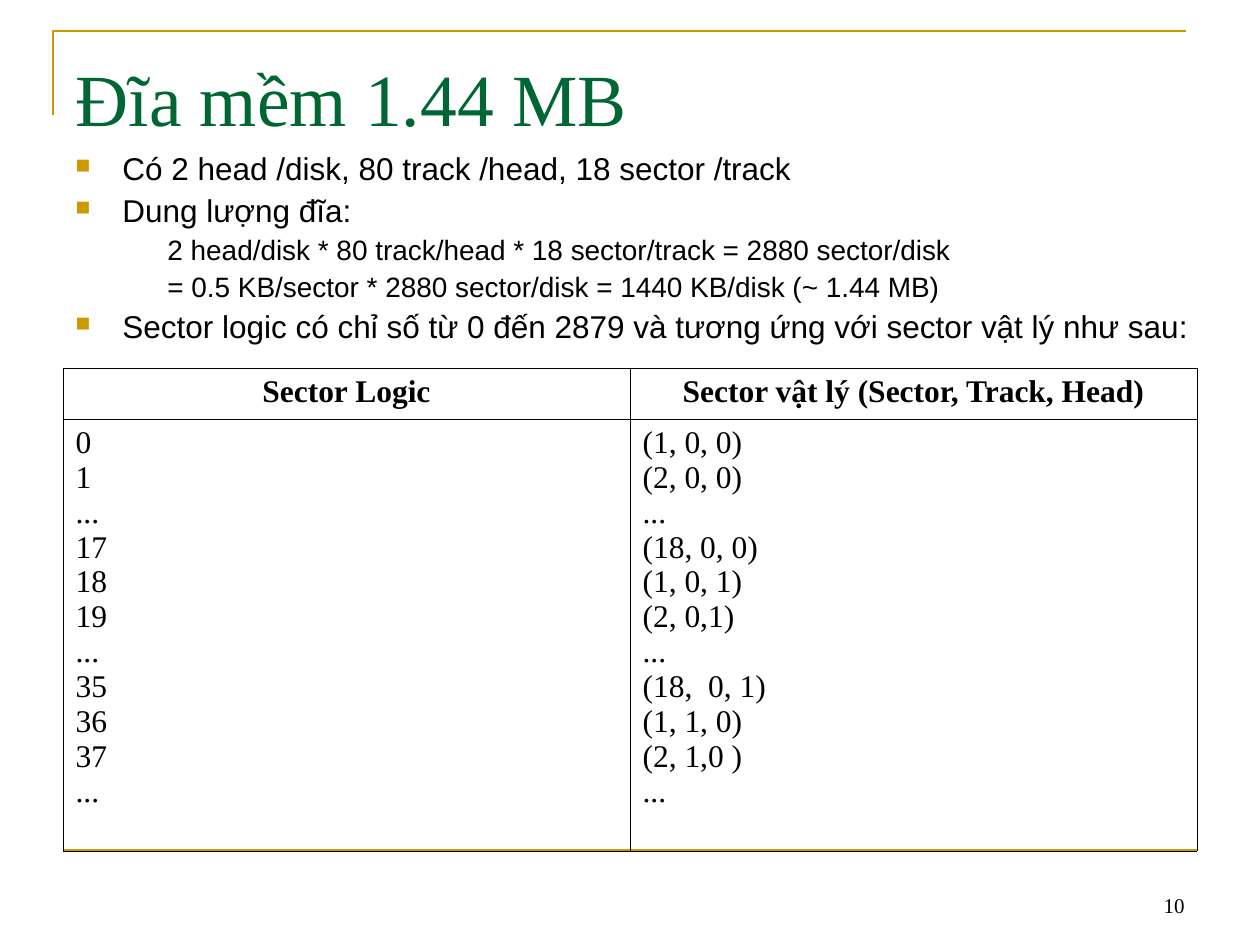
import dataclasses

import pptx
import pptx.dml.color
import pptx.enum.shapes
import pptx.enum.text
import pptx.oxml
import pptx.oxml.ns
import pptx.util

Align = pptx.enum.text.PP_ALIGN
Anchor = pptx.enum.text.MSO_ANCHOR
NS = pptx.oxml.ns.nsdecls("a")
PX_PER_INCH = 126


def px(length):
    return pptx.util.Emu(round(length * 914400 / PX_PER_INCH))


@dataclasses.dataclass(frozen=True)
class Theme:
    serif: str = "Times New Roman"
    sans: str = "Arial"
    ink: str = "000000"
    heading: str = "006633"
    gold: str = "CC9900"
    title_size: int = 42
    main_size: int = 18
    sub_size: int = 16
    number_size: int = 12
    rule_width: float = 1.5
    border_width: float = 0.45


class SlideBuilder:
    def __init__(self, slide, theme):
        self.slide = slide
        self.theme = theme

    def color(self, value):
        return pptx.dml.color.RGBColor.from_string(value)

    def add_run(self, paragraph, text, size, font, color=None, bold=False):
        run = paragraph.add_run()
        run.text = text
        run.font.size = pptx.util.Pt(size)
        run.font.name = font
        run.font.bold = bold
        run.font.color.rgb = self.color(color or self.theme.ink)

    def gold_line(self, shape):
        shape.line.color.rgb = self.color(self.theme.gold)
        shape.line.width = pptx.util.Pt(self.theme.rule_width)

    def corner_frame(self, left, top, right, bottom):
        builder = self.slide.shapes.build_freeform(px(left), px(bottom))
        builder.add_line_segments(
            [(px(left), px(top)), (px(right), px(top))], close=False)
        frame = builder.convert_to_shape()
        frame.shadow.inherit = False
        frame.fill.background()
        self.gold_line(frame)

    def rule(self, left, right, y):
        rule = self.slide.shapes.add_connector(
            pptx.enum.shapes.MSO_CONNECTOR.STRAIGHT, px(left), px(y), px(right), px(y))
        self.gold_line(rule)
        rule._element.spPr.append(pptx.oxml.parse_xml(f"<a:effectLst {NS}/>"))

    def title(self, text, left, top, width, height):
        title = self.slide.shapes.title
        title.left, title.top = px(left), px(top)
        title.width, title.height = px(width), px(height)
        frame = title.text_frame
        frame.auto_size = pptx.enum.text.MSO_AUTO_SIZE.NONE
        frame.vertical_anchor = Anchor.TOP
        frame.margin_top = px(15)
        paragraph = frame.paragraphs[0]
        paragraph.alignment = Align.LEFT
        self.add_run(paragraph, text, self.theme.title_size, self.theme.serif,
                     self.theme.heading)

    def text_box(self, left, top, width, height, anchor=Anchor.TOP):
        box = self.slide.shapes.add_textbox(px(left), px(top), px(width), px(height))
        box.text_frame.word_wrap = True
        box.text_frame.vertical_anchor = anchor
        return box.text_frame

    def outline(self, items, left, top, width, height):
        frame = self.text_box(left, top, width, height)
        for index, (level, text) in enumerate(items):
            paragraph = frame.add_paragraph() if index else frame.paragraphs[0]
            paragraph.level = level
            paragraph.line_spacing = 0.9
            properties = paragraph._p.get_or_add_pPr()
            if index:
                # Space before is a quarter of the line
                properties.append(pptx.oxml.parse_xml(
                    f'<a:spcBef {NS}><a:spcPct val="25000"/></a:spcBef>'))
            if level:
                properties.set("marL", str(px(92)))
                size = self.theme.sub_size
            else:
                properties.set("marL", str(px(47)))
                properties.set("indent", str(-px(47)))
                size = self.theme.main_size
                for bullet in (
                        f'<a:buClr {NS}><a:srgbClr val="{self.theme.gold}"/></a:buClr>',
                        f'<a:buSzPct {NS} val="65000"/>',
                        f'<a:buChar {NS} char="■"/>'):
                    properties.append(pptx.oxml.parse_xml(bullet))
            self.add_run(paragraph, text, size, self.theme.sans)

    def table(self, headers, columns, left, top, column_width, row_heights):
        table = self.slide.shapes.add_table(
            len(row_heights), len(headers), px(left), px(top),
            px(column_width * len(headers)), px(sum(row_heights))).table
        table.first_row = table.horz_banding = False
        for row, height in zip(table.rows, row_heights):
            row.height = px(height)
        for index, (header, values) in enumerate(zip(headers, columns)):
            table.columns[index].width = px(column_width)
            self.cell(table.cell(0, index), [header], Align.CENTER, bold=True)
            self.cell(table.cell(1, index), values, Align.LEFT)

    def cell(self, cell, lines, alignment, bold=False):
        properties = cell._tc.get_or_add_tcPr()
        width = pptx.util.Pt(self.theme.border_width)
        for side in "LRTB":
            properties.append(pptx.oxml.parse_xml(
                f'<a:ln{side} {NS} w="{width}"><a:solidFill>'
                f'<a:srgbClr val="{self.theme.ink}"/></a:solidFill></a:ln{side}>'))
        cell.fill.background()
        for index, line in enumerate(lines):
            frame = cell.text_frame
            paragraph = frame.add_paragraph() if index else frame.paragraphs[0]
            paragraph.alignment = alignment
            self.add_run(paragraph, line, self.theme.main_size, self.theme.serif,
                         bold=bold)

    def page_number(self, text, left, top, width, height):
        frame = self.text_box(left, top, width, height, Anchor.BOTTOM)
        frame.paragraphs[0].alignment = Align.RIGHT
        self.add_run(frame.paragraphs[0], text, self.theme.number_size,
                     self.theme.serif)


def main():
    deck = pptx.Presentation()
    deck.slide_width, deck.slide_height = px(1260), px(945)
    page = SlideBuilder(deck.slides.add_slide(deck.slide_layouts[5]), Theme())

    # Page decoration
    page.corner_frame(left=53, top=31, right=1186, bottom=115)
    page.rule(left=63, right=1197, y=850)
    page.page_number("10", 903, 861, 294, 63)

    # Heading and disk capacity
    page.title("Đĩa mềm 1.44 MB", 63, 38, 1134, 158)
    page.outline([
        (0, "Có 2 head /disk, 80 track /head, 18 sector /track"),
        (0, "Dung lượng đĩa:"),
        (1, "2 head/disk * 80 track/head * 18 sector/track = 2880 sector/disk"),
        (1, "= 0.5 KB/sector * 2880 sector/disk = 1440 KB/disk (~ 1.44 MB)"),
        (0, "Sector logic có chỉ số từ 0 đến 2879 và tương ứng với sector vật lý như sau:"),
    ], 63, 147, 1155, 221)

    # Logical to physical sectors
    logical = ["0", "1", "...", "17", "18", "19", "...", "35", "36", "37", "..."]
    physical = ["(1, 0, 0)", "(2, 0, 0)", "...", "(18, 0, 0)", "(1, 0, 1)", "(2, 0,1)",
                "...", "(18,  0, 1)", "(1, 1, 0)", "(2, 1,0 )", "..."]
    page.table(["Sector Logic", "Sector vật lý (Sector, Track, Head)"],
               [logical, physical], left=63, top=368, column_width=567,
               row_heights=[51, 432])

    deck.save("out.pptx")


if __name__ == "__main__":
    main()
